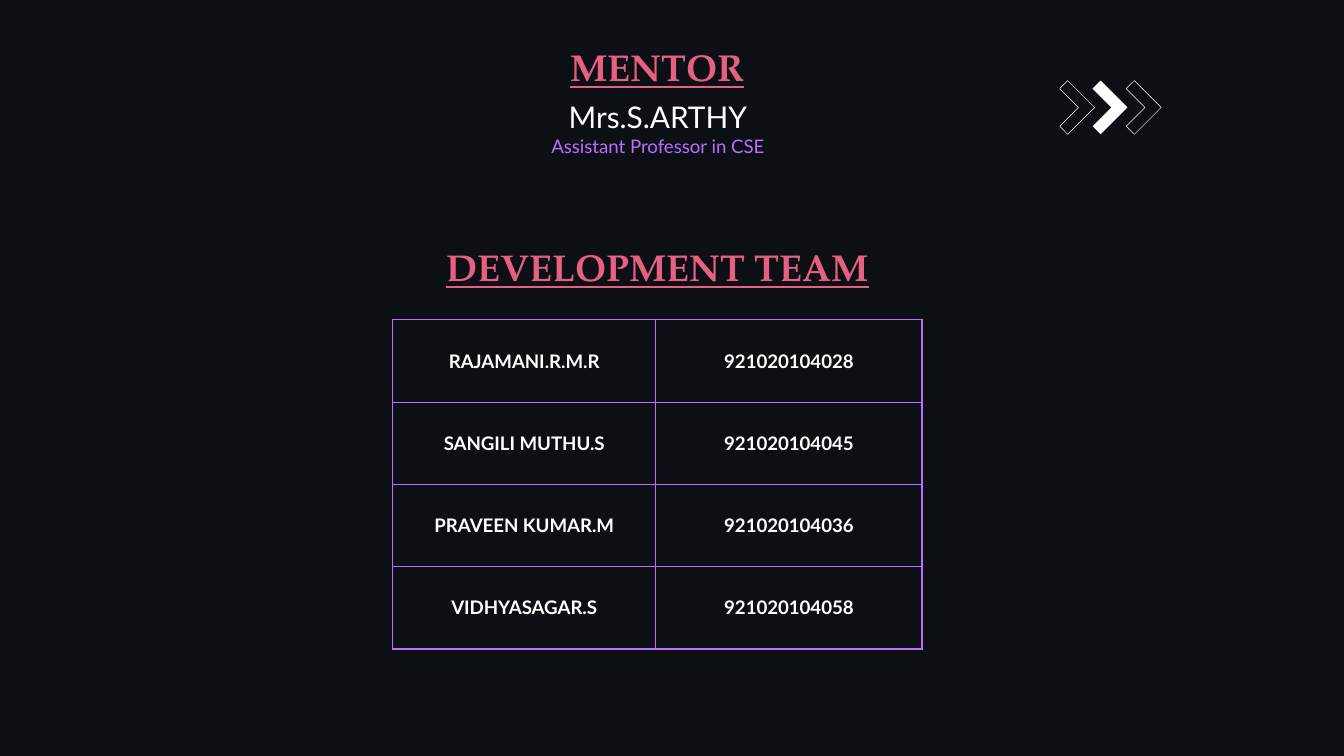
import dataclasses

import lxml.etree
import pptx
import pptx.dml.color
import pptx.enum.text
import pptx.oxml.ns
import pptx.util

COLOURS = {"night": "0C0F14", "white": "FFFFFF", "rose": "E66083", "violet": "B870FF"}
HEADING_FONT = "TeX Gyre Pagella"
BODY_FONT = "Lato"
UNIT = pptx.util.Inches(0.1)
GRID_COLUMNS, GRID_ROWS = 100, 56.25
MIDDLE = pptx.enum.text.MSO_ANCHOR.MIDDLE
TOP = pptx.enum.text.MSO_ANCHOR.TOP


@dataclasses.dataclass(frozen=True)
class Area:
    column: float
    row: float
    columns: float
    rows: float


@dataclasses.dataclass(frozen=True)
class Line:
    text: str
    size: float
    colour: str
    font: str = BODY_FONT
    bold: bool = False
    underline: bool = False


@dataclasses.dataclass(frozen=True)
class Chevron:
    column: float
    solid: bool


@dataclasses.dataclass(frozen=True)
class Member:
    name: str
    number: str


CHEVRONS = [Chevron(78.85, False), Chevron(81.3, True), Chevron(83.8, False)]
CHEVRON_ROW = 6
CHEVRON_OUTLINE = [(0.6, 0), (0, 0.6), (1.4, 2), (0, 3.4), (0.6, 4), (2.6, 2)]
TEAM = [
    Member("RAJAMANI.R.M.R", "921020104028"),
    Member("SANGILI MUTHU.S", "921020104045"),
    Member("PRAVEEN KUMAR.M", "921020104036"),
    Member("VIDHYASAGAR.S", "921020104058"),
]
TEAM_AREA = Area(29.2, 23.8, 39.4, 24.5)
TEAM_COLUMNS = (19.6, 19.8)


def grid(units: float) -> pptx.util.Emu:
    return pptx.util.Emu(round(units * UNIT))


def colour(name: str) -> pptx.dml.color.RGBColor:
    return pptx.dml.color.RGBColor.from_string(COLOURS[name])


def heading(text: str) -> Line:
    return Line(text, 20, "rose", HEADING_FONT, bold=True, underline=True)


def place(box, area: Area) -> None:
    box.left, box.top = grid(area.column), grid(area.row)
    box.width, box.height = grid(area.columns), grid(area.rows)


def write(frame, lines: list[Line]) -> None:
    for index, line in enumerate(lines):
        para = frame.add_paragraph() if index else frame.paragraphs[0]
        para.text = line.text
        para.alignment = pptx.enum.text.PP_ALIGN.CENTER
        para.font.name = line.font
        para.font.size = pptx.util.Pt(line.size)
        para.font.bold = line.bold
        para.font.underline = line.underline
        para.font.color.rgb = colour(line.colour)


def fill_box(box, area: Area, lines: list[Line], inset: float = 1, anchor=MIDDLE) -> None:
    place(box, area)
    frame = box.text_frame
    frame.word_wrap = True
    frame.auto_size = pptx.enum.text.MSO_AUTO_SIZE.NONE
    frame.vertical_anchor = anchor
    frame.margin_left = frame.margin_right = grid(1)
    frame.margin_top = frame.margin_bottom = grid(inset)
    write(frame, lines)


def add_chevron(page, chevron: Chevron) -> None:
    points = [(grid(chevron.column + x), grid(CHEVRON_ROW + y)) for x, y in CHEVRON_OUTLINE]
    builder = page.shapes.build_freeform(*points[0])
    builder.add_line_segments(points[1:], close=True)
    shape = builder.convert_to_shape()
    shape.shadow.inherit = False
    if chevron.solid:
        shape.fill.solid()
        shape.fill.fore_color.rgb = colour("white")
        shape.line.fill.background()
    else:
        shape.fill.background()
        shape.line.color.rgb = colour("white")
        shape.line.width = pptx.util.Pt(0.25)


def add_borders(cell) -> None:
    properties = cell._tc.get_or_add_tcPr()
    for position, side in enumerate(("lnL", "lnR", "lnT", "lnB")):
        border = lxml.etree.Element(pptx.oxml.ns.qn(f"a:{side}"), w=str(pptx.util.Pt(0.75)))
        fill = lxml.etree.SubElement(border, pptx.oxml.ns.qn("a:solidFill"))
        lxml.etree.SubElement(fill, pptx.oxml.ns.qn("a:srgbClr"), val=COLOURS["violet"])
        properties.insert(position, border)


def add_team(page, area: Area, team: list[Member]) -> None:
    holder = page.shapes.add_table(len(team), len(TEAM_COLUMNS), 0, 0, 0, 0)
    place(holder, area)
    table = holder.table
    table.first_row = table.horz_banding = False
    for column, width in zip(table.columns, TEAM_COLUMNS):
        column.width = grid(width)
    for row, member in zip(table.rows, team):
        row.height = grid(area.rows / len(team))
        for cell, text in zip(row.cells, dataclasses.astuple(member)):
            cell.fill.background()
            cell.vertical_anchor = MIDDLE
            cell.margin_left = cell.margin_right = grid(1)
            cell.margin_top = cell.margin_bottom = 0
            write(cell.text_frame, [Line(text, 10, "white", bold=True)])
            add_borders(cell)


def main() -> None:
    deck = pptx.Presentation()
    deck.slide_width, deck.slide_height = grid(GRID_COLUMNS), grid(GRID_ROWS)
    page = deck.slides.add_slide(deck.slide_layouts[5])
    page.background.fill.solid()
    page.background.fill.fore_color.rgb = colour("night")

    for chevron in CHEVRONS:
        add_chevron(page, chevron)
    mentor_title = page.shapes.add_textbox(0, 0, 0, 0)
    fill_box(mentor_title, Area(40.05, 1.35, 17.7, 7.2), [heading("MENTOR")])
    mentor = [
        Line("Mrs.S.ARTHY", 16, "white"),
        Line("Assistant Professor in CSE", 10, "violet"),
    ]
    mentor_details = page.shapes.add_textbox(0, 0, 0, 0)
    fill_box(mentor_details, Area(37.95, 6.85, 22, 5.4), mentor, inset=0.5, anchor=TOP)
    add_team(page, TEAM_AREA, TEAM)
    fill_box(page.shapes.title, Area(28.8, 16.2, 40.3, 7.2), [heading("DEVELOPMENT TEAM")])
    deck.save("out.pptx")


if __name__ == "__main__":
    main()
